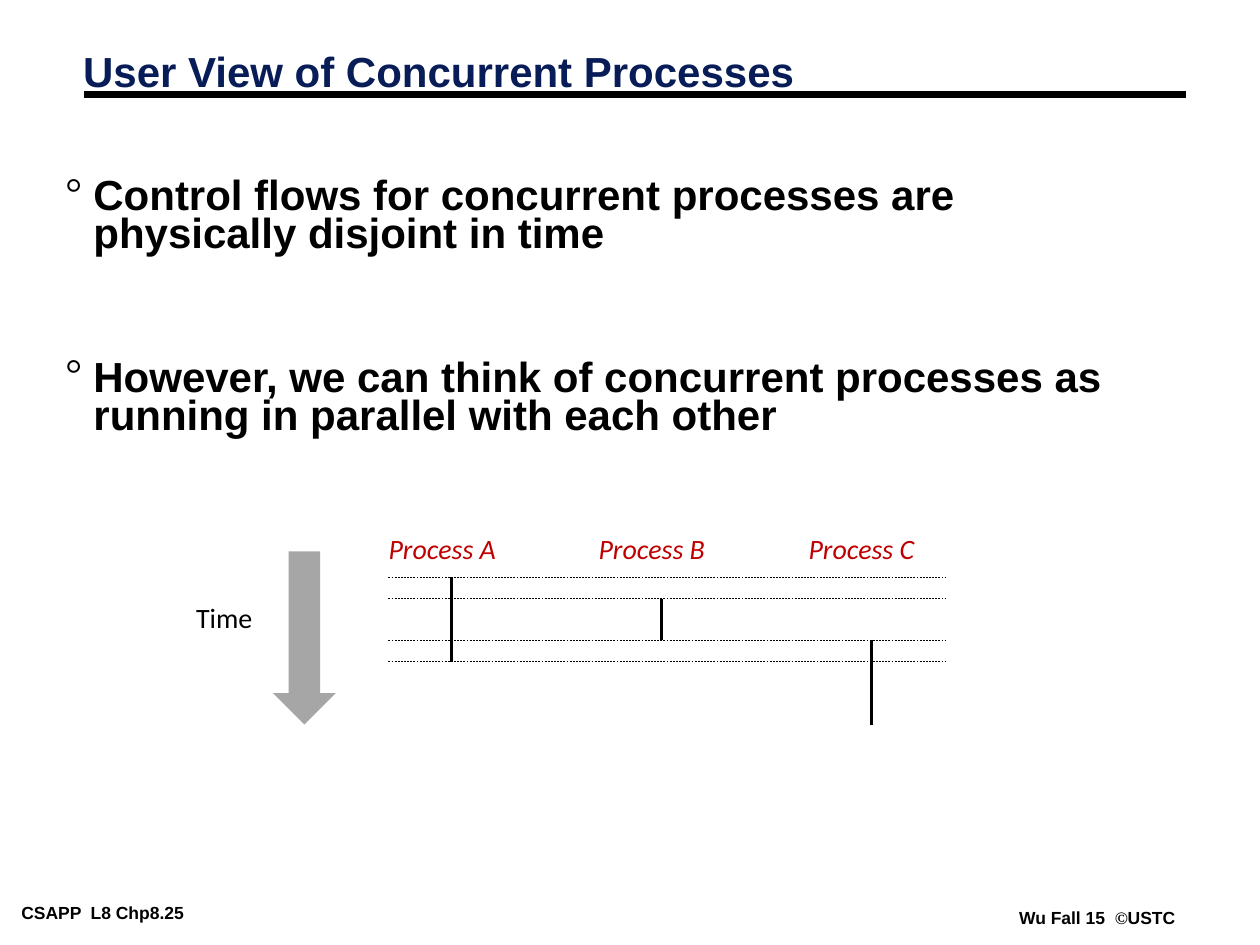
from dataclasses import dataclass
from typing import Optional

from lxml import etree
from pptx import Presentation
from pptx import util as u
from pptx.dml import color
from pptx.enum import dml, shapes, text
from pptx.oxml import ns


@dataclass(frozen=True)
class Theme:
    black: str = "000000"
    navy: str = "081D58"
    red: str = "C00000"
    gray: str = "A6A6A6"
    sans: str = "Arial"
    label_face: str = "Calibri"
    symbol_face: str = "Times New Roman"
    heading_size: float = 24
    label_size: float = 16
    footer_size: float = 10


THEME = Theme()


@dataclass(frozen=True)
class Style:
    face: str
    size: float
    ink: str
    bold: bool = False
    italic: bool = False
    inset: tuple[float, float] = (5, 2.2)


TITLE = Style(THEME.sans, THEME.heading_size, THEME.navy, bold=True)
BODY = Style(THEME.sans, THEME.heading_size, THEME.black, bold=True)
FOOTER = Style(THEME.sans, THEME.footer_size, THEME.black, bold=True)
TIME = Style(THEME.label_face, THEME.label_size, THEME.black, inset=(7.2, 3.6))
PROCESS = Style(THEME.label_face, THEME.label_size, THEME.red, italic=True, inset=(7.2, 3.6))


@dataclass(frozen=True)
class Box:
    left: float
    top: float
    width: float
    height: float

    def lengths(self) -> tuple:
        return tuple(u.Pt(value) for value in (self.left, self.top, self.width, self.height))


@dataclass(frozen=True)
class Process:
    name: str
    column: int
    starts: tuple[int, ...]


PROCESSES = (
    Process("Process A", 0, (0, 2)),
    Process("Process B", 1, (1,)),
    Process("Process C", 2, (3, 5)),
)
BULLETS = (
    "Control flows for concurrent processes are physically disjoint in time",
    "However, we can think of concurrent processes as running in parallel with each other",
)
COLUMN_STEP = 120
FLOW_LEFT = 258
LABEL_LEFT = 215
TIME_TOP = 330
TIME_STEP = 12
SWITCHES = (0, 1, 3, 4)


def style_run(run, style: Style, face: Optional[str] = None) -> None:
    run.font.name = face or style.face
    run.font.size = u.Pt(style.size)
    run.font.bold = style.bold
    run.font.italic = style.italic
    run.font.color.rgb = color.RGBColor.from_string(style.ink)


def add_text(slide, box: Box, lines: tuple[str, ...], style: Style, wrap: bool = False):
    frame = slide.shapes.add_textbox(*box.lengths()).text_frame
    frame.word_wrap = wrap
    frame.auto_size = text.MSO_AUTO_SIZE.NONE
    frame.vertical_anchor = text.MSO_ANCHOR.TOP
    frame.margin_left = frame.margin_right = u.Pt(style.inset[0])
    frame.margin_top = frame.margin_bottom = u.Pt(style.inset[1])
    frame.text = "\n".join(lines)
    for paragraph in frame.paragraphs:
        for run in paragraph.runs:
            style_run(run, style)
    return frame


def add_bullet(paragraph) -> None:
    properties = paragraph._p.get_or_add_pPr()
    properties.set("marL", str(u.Pt(16)))
    properties.set("indent", str(u.Pt(-16)))
    bullet_color = etree.SubElement(properties, ns.qn("a:buClr"))
    etree.SubElement(bullet_color, ns.qn("a:srgbClr"), val=THEME.black)
    etree.SubElement(properties, ns.qn("a:buFont"), typeface=THEME.symbol_face)
    etree.SubElement(properties, ns.qn("a:buChar"), char="°")


def add_line(slide, start: tuple[float, float], end: tuple[float, float],
             width: float, dashed: bool = False) -> None:
    connector = slide.shapes.add_connector(
        shapes.MSO_CONNECTOR.STRAIGHT, *(u.Pt(value) for value in start + end))
    connector.line.color.rgb = color.RGBColor.from_string(THEME.black)
    connector.line.width = u.Pt(width)
    if dashed:
        connector.line.dash_style = dml.MSO_LINE.DASH
    etree.SubElement(connector._element.spPr, ns.qn("a:effectLst"))


def add_footers(slide) -> None:
    add_text(slide, Box(7.2, 513, 140.4, 15.8), ("CSAPP  L8 Chp8.25",), FOOTER, wrap=True)
    frame = add_text(slide, Box(577.4, 516.2, 101, 15.8), ("Wu Fall 15  ",), FOOTER, wrap=True)
    for words, face in (("©", THEME.symbol_face), ("USTC", THEME.sans)):
        run = frame.paragraphs[0].add_run()
        run.text = words
        style_run(run, FOOTER, face)


def add_heading(slide) -> None:
    add_line(slide, (48, 54), (678, 54), 4.5)
    title = add_text(slide, Box(42.5, 27.8, 666, 45.4),
                     ("User View of Concurrent Processes",), TITLE, wrap=True)
    title.paragraphs[0].line_spacing = 0.87


def add_body(slide) -> None:
    body = add_text(slide, Box(32.4, 101, 622, 157), BULLETS, BODY, wrap=True)
    for index, paragraph in enumerate(body.paragraphs):
        paragraph.line_spacing = 0.75
        paragraph.space_before = u.Pt(60.5 if index else 0)
        add_bullet(paragraph)


def add_process(slide, process: Process) -> None:
    offset = process.column * COLUMN_STEP
    add_text(slide, Box(LABEL_LEFT + offset, 300.2, 80, 26.6), (process.name,), PROCESS, wrap=True)
    x = FLOW_LEFT + offset
    for start in process.starts:
        top = TIME_TOP + start * TIME_STEP
        add_line(slide, (x, top), (x, top + 2 * TIME_STEP), 2)


def add_timeline(slide) -> None:
    add_text(slide, Box(105, 339.8, 50, 26.6), ("Time",), TIME, wrap=True)
    for process in PROCESSES:
        add_process(slide, process)
    for switch in SWITCHES:
        y = TIME_TOP + switch * TIME_STEP
        add_line(slide, (222, y), (540, y), 0.25, dashed=True)
    arrow = slide.shapes.add_shape(shapes.MSO_SHAPE.DOWN_ARROW, *Box(156, 315, 36, 99).lengths())
    arrow.shadow.inherit = False
    arrow.fill.solid()
    arrow.fill.fore_color.rgb = color.RGBColor.from_string(THEME.gray)
    arrow.line.fill.background()


def main() -> None:
    presentation = Presentation()
    presentation.slide_width = u.Pt(720)
    presentation.slide_height = u.Pt(540)
    slide = presentation.slides.add_slide(presentation.slide_layouts[6])
    add_footers(slide)
    add_heading(slide)
    add_body(slide)
    add_timeline(slide)
    presentation.save("out.pptx")


if __name__ == "__main__":
    main()
